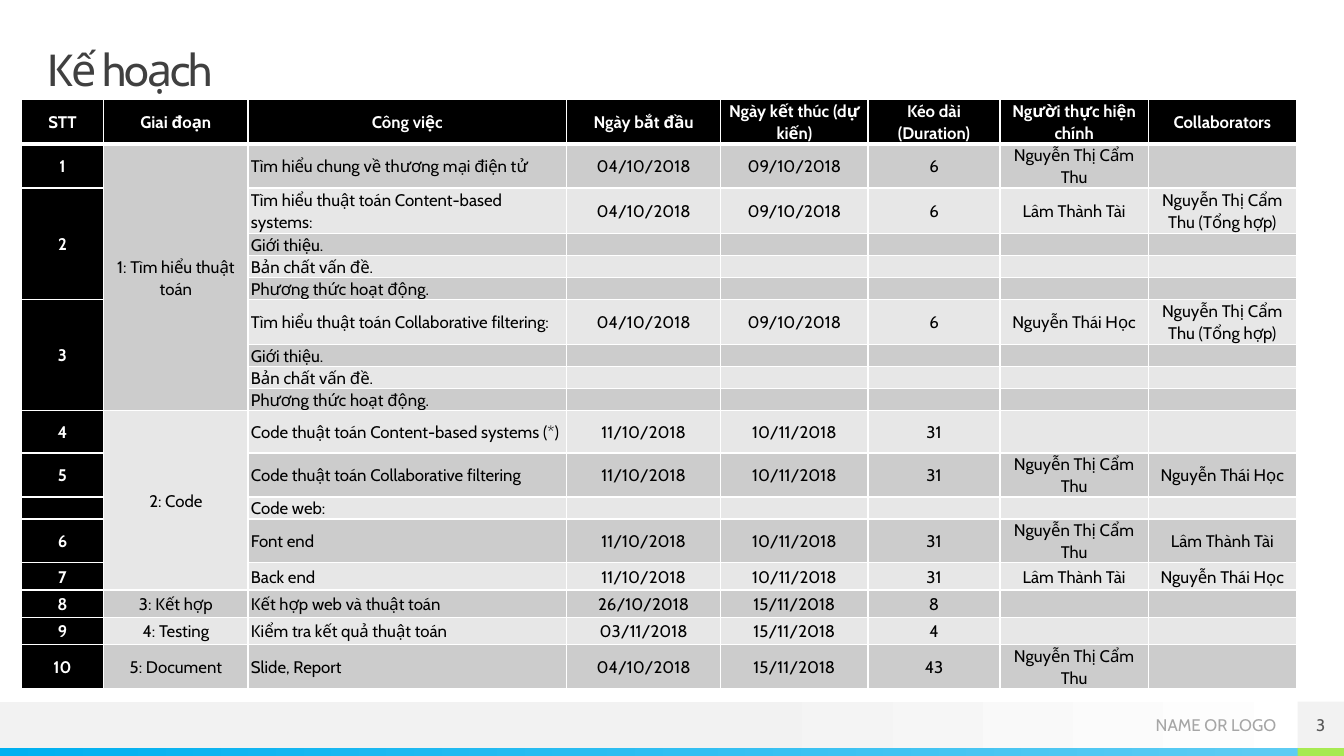
from dataclasses import dataclass
from typing import Any

import pptx
import pptx.dml.color
import pptx.enum.shapes
import pptx.enum.text
import pptx.oxml
import pptx.oxml.ns
import pptx.util

Inches = pptx.util.Inches
Align = pptx.enum.text.PP_ALIGN
Anchor = pptx.enum.text.MSO_ANCHOR

FONT = "Cabin"
COLORS = {
    "white": "FFFFFF", "black": "000000", "odd": "CCCCCC", "even": "E7E7E7",
    "panel": "F2F2F2", "blue": "00B0F0", "sky": "5ECCF3", "green": "A7EA52",
    "title": "404040", "number": "595959", "footer": "A6A6A6",
}


@dataclass
class Bar:
    left: float
    top: float
    width: float
    height: float
    colors: tuple[str, ...]
    start: float = 0.0


@dataclass
class Task:
    height: float
    number: str
    phase: str
    work: str
    start: str = ""
    end: str = ""
    days: str = ""
    owner: str = ""
    helper: str = ""

    def texts(self) -> list[str]:
        return [self.number, self.phase, self.work, self.start, self.end,
                self.days, self.owner, self.helper]


BARS = [
    Bar(0, 6.96, 13.33, 0.46, ("panel", "white"), 0.53),
    Bar(0, 7.42, 12.87, 0.08, ("blue", "sky")),
    Bar(12.87, 7.42, 0.46, 0.08, ("green",)),
]
NUMBER_BOX = Bar(12.87, 6.96, 0.46, 0.46, ("panel",))

THU, TAI, HOC = "Nguyễn Thị Cẩm Thu", "Lâm Thành Tài", "Nguyễn Thái Học"
SUMMARY = f"{THU} (Tổng hợp)"
STUDY = ("04/10/2018", "09/10/2018", "6")
CODE = ("11/10/2018", "10/11/2018", "31")
TOPICS = [Task(0.21, "", "", topic) for topic in
          ("Giới thiệu.", "Bản chất vấn đề.", "Phương thức hoạt động.")]
TASKS = [
    Task(0.44, "STT", "Giai đoạn", "Công việc", "Ngày bắt đầu", "Ngày kết thúc (dự kiến)",
         "Kéo dài (Duration)", "Người thực hiện chính", "Collaborators"),
    Task(0.42, "1", "1: Tìm hiểu thuật toán", "Tìm hiểu chung về thương mại điện tử", *STUDY, THU),
    Task(0.45, "2", "", "Tìm hiểu thuật toán Content-based systems:", *STUDY, TAI, SUMMARY),
    *TOPICS,
    Task(0.45, "3", "", "Tìm hiểu thuật toán Collaborative filtering:", *STUDY, HOC, SUMMARY),
    *TOPICS,
    Task(0.42, "4", "2: Code", "Code thuật toán Content-based systems (*)", *CODE),
    Task(0.42, "5", "", "Code thuật toán Collaborative filtering", *CODE, THU, HOC),
    Task(0.21, "", "", "Code web:"),
    Task(0.42, "6", "", "Font end", *CODE, THU, TAI),
    Task(0.27, "7", "", "Back end", *CODE, TAI, HOC),
    Task(0.27, "8", "3: Kết hợp", "Kết hợp web và thuật toán", "26/10/2018", "15/11/2018", "8"),
    Task(0.27, "9", "4: Testing", "Kiểm tra kết quả thuật toán", "03/11/2018", "15/11/2018", "4"),
    Task(0.42, "10", "5: Document", "Slide, Report", "04/10/2018", "15/11/2018", "43", THU),
]
COLUMN_WIDTHS = [0.82, 1.43, 3.16, 1.53, 1.46, 1.31, 1.47, 1.47]
WORK_COLUMN = 2
MERGES = [(1, 1, 9), (2, 0, 5), (6, 0, 9), (10, 1, 14)]


def rgb(name: str) -> pptx.dml.color.RGBColor:
    return pptx.dml.color.RGBColor.from_string(COLORS[name])


def apply(target: Any, formats: dict[str, Any]) -> None:
    for name, value in formats.items():
        setattr(target, name, value)


def write(frame: Any, text: str, color: str, size: float = 12, bold: bool = False,
          align: Any = Align.CENTER, spacing: float = 1.0) -> Any:
    paragraph = frame.paragraphs[0]
    apply(paragraph, {"alignment": align, "line_spacing": spacing})
    if not text:
        paragraph._p.get_or_add_endParaRPr().set("sz", str(int(size * 100)))
        return None
    run = paragraph.add_run()
    run.text = text
    apply(run.font, {"name": FONT, "size": pptx.util.Pt(size), "bold": bold})
    run.font.color.rgb = rgb(color)
    return run


def format_frame(frame: Any, anchor: Any) -> None:
    apply(frame, {
        "margin_left": 0, "margin_top": 0, "margin_right": 0, "margin_bottom": 0,
        "word_wrap": True, "auto_size": pptx.enum.text.MSO_AUTO_SIZE.NONE,
        "vertical_anchor": anchor,
    })


def draw_bar(slide: Any, bar: Bar) -> Any:
    shape = slide.shapes.add_shape(
        pptx.enum.shapes.MSO_SHAPE.RECTANGLE,
        *map(Inches, (bar.left, bar.top, bar.width, bar.height)))
    shape.shadow.inherit = False
    shape.line.fill.background()
    if len(bar.colors) == 1:
        shape.fill.solid()
        shape.fill.fore_color.rgb = rgb(bar.colors[0])
        return shape
    shape.fill.gradient()
    shape.fill.gradient_angle = 0
    for stop, color, position in zip(shape.fill.gradient_stops, bar.colors, (bar.start, 1.0)):
        stop.color.rgb = rgb(color)
        stop.position = position
    return shape


def add_borders(cell: Any, bottom: float) -> None:
    properties = cell._tc.get_or_add_tcPr()
    for side, width in {"L": 1, "R": 1, "T": 1, "B": bottom}.items():
        properties.append(pptx.oxml.parse_xml(
            f'<a:ln{side} {pptx.oxml.ns.nsdecls("a")} w="{pptx.util.Pt(width)}"><a:solidFill>'
            f'<a:srgbClr val="{COLORS["white"]}"/></a:solidFill></a:ln{side}>'))


def draw_cell(cell: Any, text: str, row: int, column: int) -> None:
    dark = row == 0 or column == 0
    apply(cell, {
        "margin_left": Inches(0.03), "margin_right": Inches(0.03),
        "margin_top": 0, "margin_bottom": 0, "vertical_anchor": Anchor.MIDDLE,
    })
    add_borders(cell, 3 if row == 0 else 1)
    cell.fill.solid()
    cell.fill.fore_color.rgb = rgb("black" if dark else "odd" if row % 2 else "even")
    align = Align.LEFT if column == WORK_COLUMN and row else Align.CENTER
    write(cell.text_frame, text, "white" if dark else "black", bold=dark,
          align=align, spacing=1.07)


def draw_plan(slide: Any) -> None:
    table = slide.shapes.add_table(
        len(TASKS), len(COLUMN_WIDTHS), Inches(0.21), Inches(0.99),
        Inches(sum(COLUMN_WIDTHS)), Inches(sum(task.height for task in TASKS))).table
    apply(table, {"first_row": False, "horz_banding": False})
    for column, width in zip(table.columns, COLUMN_WIDTHS):
        column.width = Inches(width)
    for row, task in enumerate(TASKS):
        table.rows[row].height = Inches(task.height)
        for column, text in enumerate(task.texts()):
            draw_cell(table.cell(row, column), text, row, column)
    for first, column, last in MERGES:
        table.cell(first, column).merge(table.cell(last, column))


def main() -> None:
    presentation = pptx.Presentation()
    apply(presentation, {"slide_width": Inches(13.33), "slide_height": Inches(7.5)})
    slide = presentation.slides.add_slide(presentation.slide_layouts[5])
    for bar in BARS:
        draw_bar(slide, bar)

    footer = slide.shapes.add_textbox(*map(Inches, (10.42, 6.96, 2.24, 0.47)))
    format_frame(footer.text_frame, Anchor.MIDDLE)
    write(footer.text_frame, "NAME OR LOGO", "footer", align=Align.RIGHT)

    title = slide.shapes.title
    apply(title, {"left": Inches(0.47), "top": Inches(0.47),
                  "width": Inches(12.4), "height": Inches(0.47)})
    format_frame(title.text_frame, Anchor.TOP)
    heading = write(title.text_frame, "Kế hoạch", "title", 32, align=Align.LEFT, spacing=0.9)
    heading.font._element.set("spc", "-150")

    number_box = draw_bar(slide, NUMBER_BOX)
    format_frame(number_box.text_frame, Anchor.MIDDLE)
    write(number_box.text_frame, "3", "number")
    draw_plan(slide)
    presentation.save("out.pptx")


if __name__ == "__main__":
    main()
